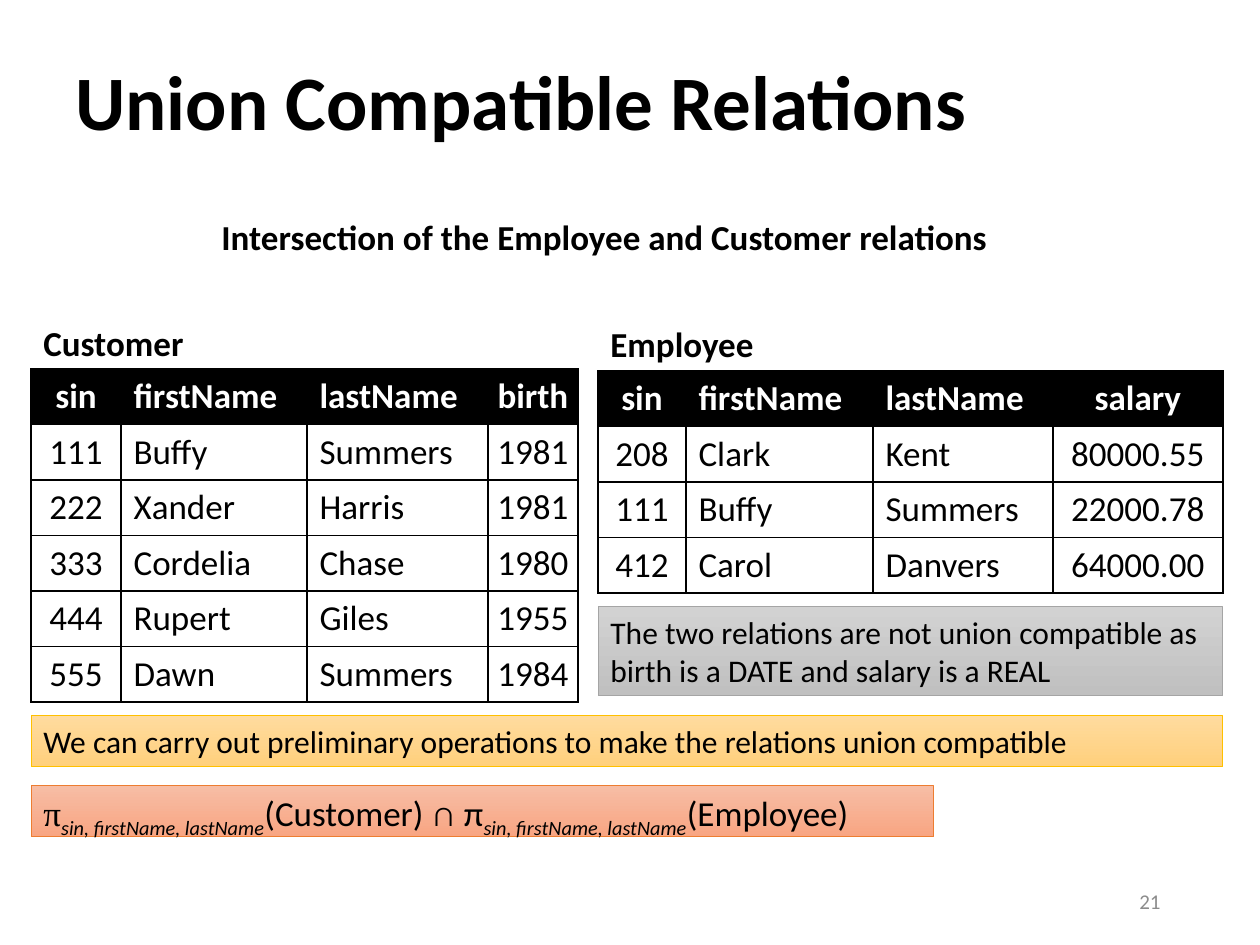
import pptx
import pptx.util
import pptx.dml.color
import pptx.enum.shapes
import pptx.enum.text
import pptx.oxml
import pptx.oxml.ns

# Content: boxes are left, top, width, height in pixels
SCALE = 914400 // 126
COLORS = {"black": "000000", "white": "FFFFFF", "page": "8C8C8C",
          "amber": ("FFDB9E", "FFD07C", "FFC000"),
          "salmon": ("F7BDA5", "F8A582", "ED7D31"),
          "gray": ("D2D2D2", "C0C0C0", "A5A5A5")}
LEFT, MIDDLE = 31, 598
ROW_HEIGHT = 55
BOLD = {"size": 20, "bold": True}
PLAIN = {"size": 18}
FORMULA = {"size": 20}
ATTRIBUTES = {"italic": True, "size": 20, "baseline": "-25000"}
PROJECTED = "sin, firstName, lastName"

labels = [
    ((63, 16, 1040, 179), [("Union Compatible Relations", {"size": 44, "bold": True})],
     {"anchor": "MIDDLE", "spacing": 0.9}),
    ((209, 209, 849, 55), [("Intersection of the Employee and Customer relations", BOLD)], {}),
    ((LEFT, 315, 176, 55), [("Customer", BOLD)], {}),
    ((MIDDLE, 316, 176, 55), [("Employee", BOLD)], {}),
    ((890, 876, 283, 50), [("21", {"size": 12, "color": "page"})],
     {"anchor": "MIDDLE", "align": "RIGHT"}),
]
notes = [
    ((MIDDLE, 607, 625, 89),
     [("The two relations are not union compatible as birth is a DATE and salary is a REAL",
       PLAIN)], {"palette": "gray"}),
    ((LEFT, 716, 1192, 51),
     [("We can carry out preliminary operations to make the relations union compatible",
       PLAIN)], {"palette": "amber"}),
    ((LEFT, 786, 903, 51),
     [("π", {"size": 20, "name": "Times New Roman"}), (PROJECTED, ATTRIBUTES),
      ("(Customer) ∩ π", FORMULA), (PROJECTED, ATTRIBUTES), ("(Employee)", FORMULA)],
     {"palette": "salmon", "spacing": 0.9}),
]
relations = [
    {"at": (LEFT, 369), "widths": (90, 186, 181, 90), "last_margin": 6, "rows": [
        ("sin", "firstName", "lastName", "birth"),
        ("111", "Buffy", "Summers", "1981"),
        ("222", "Xander", "Harris", "1981"),
        ("333", "Cordelia", "Chase", "1980"),
        ("444", "Rupert", "Giles", "1955"),
        ("555", "Dawn", "Summers", "1984")]},
    {"at": (MIDDLE, 371), "widths": (88, 187, 180, 170), "last_margin": 12, "rows": [
        ("sin", "firstName", "lastName", "salary"),
        ("208", "Clark", "Kent", "80000.55"),
        ("111", "Buffy", "Summers", "22000.78"),
        ("412", "Carol", "Danvers", "64000.00")]},
]


def px(*lengths):
    return [pptx.util.Emu(length * SCALE) for length in lengths]


def rgb(value):
    return pptx.dml.color.RGBColor.from_string(value)


def write(frame, runs, align="LEFT", spacing=None):
    paragraph = frame.paragraphs[0]
    paragraph.alignment = getattr(pptx.enum.text.PP_ALIGN, align)
    if spacing:
        paragraph.line_spacing = spacing
    for text, changes in runs:
        values = {"name": "Calibri", "bold": False, "color": "black", **changes}
        run = paragraph.add_run()
        run.text = text
        run.font.color.rgb = rgb(COLORS[values.pop("color")])
        if "baseline" in values:
            run.font._element.set("baseline", values.pop("baseline"))
        values["size"] = pptx.util.Pt(values["size"])
        for key, value in values.items():
            setattr(run.font, key, value)


def add_label(box, runs, anchor="TOP", **layout):
    frame = slide.shapes.add_textbox(*px(*box)).text_frame
    frame.word_wrap = True
    frame.vertical_anchor = getattr(pptx.enum.text.MSO_ANCHOR, anchor)
    write(frame, runs, **layout)


def add_note(box, runs, palette, **layout):
    note = slide.shapes.add_shape(pptx.enum.shapes.MSO_SHAPE.RECTANGLE, *px(*box))
    note.shadow.inherit = False
    top, bottom, edge = COLORS[palette]
    note.fill.gradient()
    note.fill.gradient_angle = 270
    for stop, color in zip(note.fill.gradient_stops, (top, bottom)):
        stop.color.rgb = rgb(color)
    note.line.color.rgb = rgb(edge)
    note.line.width = pptx.util.Pt(0.5)
    note.text_frame.word_wrap = True
    note.text_frame.vertical_anchor = pptx.enum.text.MSO_ANCHOR.TOP
    write(note.text_frame, runs, **layout)


def add_borders(cell):
    for side in ("lnL", "lnR", "lnT", "lnB"):
        cell._tc.get_or_add_tcPr().append(pptx.oxml.parse_xml(
            f'<a:{side} {pptx.oxml.ns.nsdecls("a")} w="12700"><a:solidFill>'
            f'<a:srgbClr val="{COLORS["black"]}"/></a:solidFill></a:{side}>'))


def add_relation(at, widths, last_margin, rows):
    size = (sum(widths), ROW_HEIGHT * len(rows))
    table = slide.shapes.add_table(len(rows), len(widths), *px(*at, *size)).table
    table.horz_banding = False
    for column, width in zip(table.columns, px(*widths)):
        column.width = width
    for r, row in enumerate(rows):
        ink, paper = ("white", "black") if r == 0 else ("black", "white")
        for c, text in enumerate(row):
            cell = table.cell(r, c)
            add_borders(cell)
            cell.fill.solid()
            cell.fill.fore_color.rgb = rgb(COLORS[paper])
            cell.vertical_anchor = pptx.enum.text.MSO_ANCHOR.MIDDLE
            if c == len(row) - 1:
                cell.margin_left, cell.margin_right = px(last_margin, last_margin)
            write(cell.text_frame, [(text, {"size": 20, "bold": r == 0, "color": ink})],
                  align="LEFT" if c in (1, 2) else "CENTER")


# Slide
deck = pptx.Presentation()
deck.slide_width, deck.slide_height = px(1260, 945)
slide = deck.slides.add_slide(deck.slide_layouts[6])
for relation in relations:
    add_relation(**relation)
for box, runs, layout in notes:
    add_note(box, runs, **layout)
for box, runs, layout in labels:
    add_label(box, runs, **layout)
deck.save("out.pptx")
